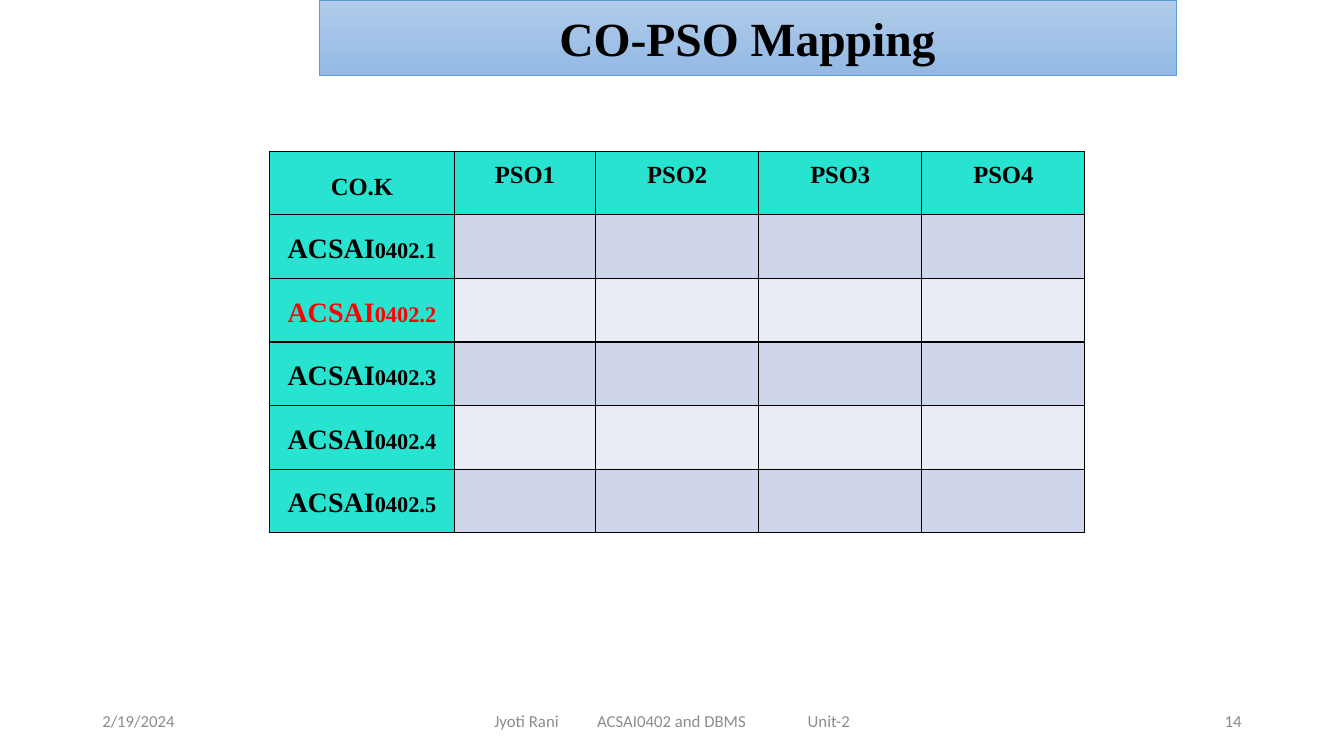
from lxml import etree
from pptx import Presentation
from pptx.dml.color import RGBColor
from pptx.enum import text
from pptx.oxml import ns
from pptx.util import Pt

TITLE = "CO-PSO Mapping"
HEADINGS = ["co.k", "pso1", "pso2", "pso3", "pso4"]
OUTCOMES = ["ACSAI0402.1", "ACSAI0402.2", "ACSAI0402.3", "ACSAI0402.4", "ACSAI0402.5"]
CURRENT_OUTCOME = "ACSAI0402.2"
DATE, PAGE = "2/19/2024", "14"
FOOTER = "Jyoti Rani\tACSAI0402 and DBMS\tUnit-2"
FOOTER_TABS = [73.5, 224]
COLUMN_WIDTHS = [132, 101, 116.5, 116.5, 116.5]
ROW_HEIGHT = 45.45
BAND_FILLS = ["CFD5EA", "E9EBF5"]
HEADING_FILL = "29E3D1"
SERIF = "Times New Roman"
ALIGN, ANCHOR = text.PP_ALIGN, text.MSO_ANCHOR


def rgb(value):
    return RGBColor.from_string(value)


def add_run(paragraph, words, size, font, color, bold=False):
    run = paragraph.add_run()
    run.text = words
    run.font.size, run.font.name, run.font.bold = Pt(size), font, bold
    run.font.color.rgb = rgb(color)
    return run


def add_footer(words, left, width, align, color="8C8C8C", tabs=(), inset=7.2):
    box = slide.shapes.add_textbox(Pt(left), Pt(500.5), Pt(width), Pt(28.75))
    frame = box.text_frame
    frame.word_wrap = True
    frame.vertical_anchor = ANCHOR.MIDDLE
    frame.margin_left = Pt(inset)
    paragraph = frame.paragraphs[0]
    paragraph.alignment = align
    if tabs:
        tab_list = etree.SubElement(paragraph._p.get_or_add_pPr(), ns.qn("a:tabLst"))
        for position in tabs:
            etree.SubElement(tab_list, ns.qn("a:tab"), pos=str(Pt(position)), algn="l")
    add_run(paragraph, words, 12, "Calibri", color)


def style_cell(cell, fill):
    """Draw black borders all round the cell, then fill it."""
    properties = cell._tc.get_or_add_tcPr()
    for side in ("lnL", "lnR", "lnT", "lnB"):
        line = etree.SubElement(properties, ns.qn(f"a:{side}"), w=str(Pt(1)))
        solid = etree.SubElement(line, ns.qn("a:solidFill"))
        etree.SubElement(solid, ns.qn("a:srgbClr"), val="000000")
    cell.fill.solid()
    cell.fill.fore_color.rgb = rgb(fill)


def write_cell(cell, words, size, color, anchor):
    cell.vertical_anchor = anchor
    cell.margin_left = cell.margin_right = Pt(5)
    cell.margin_top = cell.margin_bottom = Pt(0)
    paragraph = cell.text_frame.paragraphs[0]
    paragraph.alignment = ALIGN.CENTER
    paragraph.line_spacing = 1.15
    run = add_run(paragraph, words, size, SERIF, color, bold=True)
    run._r.get_or_add_rPr().set("cap", "small")


prs = Presentation()
prs.slide_width, prs.slide_height = Pt(960), Pt(540)
slide = prs.slides.add_slide(prs.slide_layouts[5])

add_footer(DATE, 66, 216, ALIGN.LEFT)
add_footer(FOOTER, 318, 324, ALIGN.LEFT, tabs=FOOTER_TABS, inset=35)
add_footer(PAGE, 678, 216, ALIGN.RIGHT, color="898989")

title = slide.shapes.title
title.left, title.top, title.width, title.height = Pt(228), Pt(0), Pt(612), Pt(54)
title.fill.gradient()
title.fill.gradient_angle = 270
for stop, color in zip(title.fill.gradient_stops, ("B1CBE9", "93B9E4")):
    stop.color.rgb = rgb(color)
title.line.color.rgb = rgb("5B9BD5")
title.line.width = Pt(0.5)
title.text_frame.auto_size = text.MSO_AUTO_SIZE.NONE
title.text_frame.vertical_anchor = ANCHOR.MIDDLE
heading = title.text_frame.paragraphs[0]
heading.alignment = ALIGN.CENTER
add_run(heading, TITLE, 34, SERIF, "000000", bold=True)

row_count = len(OUTCOMES) + 1
mapping = slide.shapes.add_table(row_count, len(HEADINGS), Pt(192.5), Pt(108),
                                 Pt(sum(COLUMN_WIDTHS)), Pt(ROW_HEIGHT * row_count)).table
for column, width in zip(mapping.columns, COLUMN_WIDTHS):
    column.width = Pt(width)
for r, row in enumerate(mapping.rows):
    row.height = Pt(ROW_HEIGHT)
    for c, cell in enumerate(row.cells):
        is_heading = r == 0 or c == 0
        style_cell(cell, HEADING_FILL if is_heading else BAND_FILLS[(r - 1) % 2])
        if r == 0:
            write_cell(cell, HEADINGS[c], 22, "000000", ANCHOR.TOP if c else ANCHOR.MIDDLE)
        elif c == 0:
            outcome = OUTCOMES[r - 1]
            color = "FF0000" if outcome == CURRENT_OUTCOME else "000000"
            write_cell(cell, outcome, 20, color, ANCHOR.MIDDLE)

prs.save("out.pptx")
